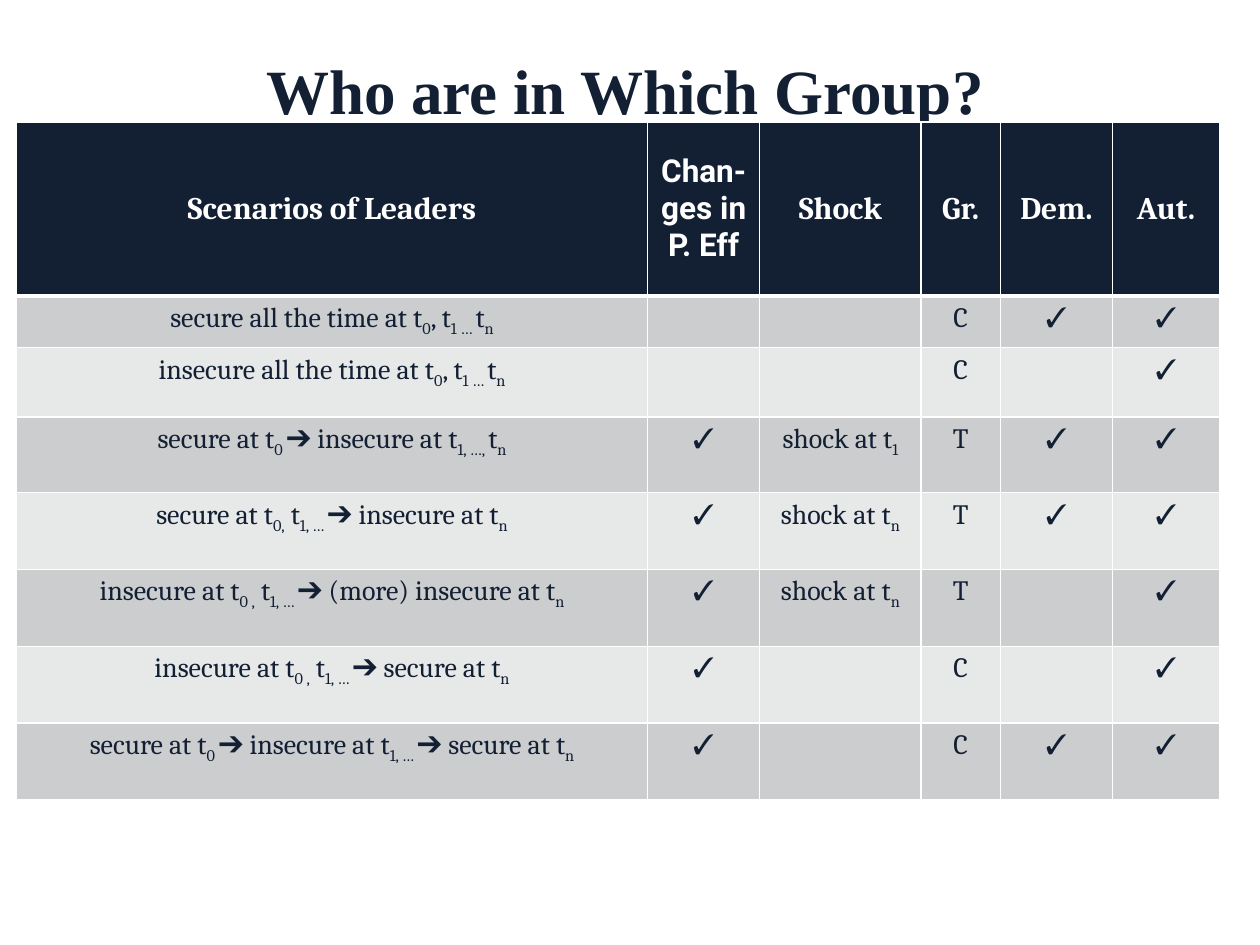
from lxml.etree import SubElement
from pptx import Presentation
from pptx.dml.color import RGBColor as RGB
from pptx.enum.text import MSO_ANCHOR as Anchor, PP_ALIGN as Align
from pptx.oxml.ns import qn
from pptx.util import Inches, Pt

# Content: text between bars is subscript
TITLE = "Who are in Which Group?"
HEADS = ["Scenarios of Leaders", "Chan-ges in P. Eff", "Shock", "Gr.", "Dem.", "Aut."]
YES = "✓"
ROWS = [
    ("secure all the time at t|0|, t|1 … |t|n|", "", "", "C", YES, YES),
    ("insecure all the time at t|0|, t|1 … |t|n|", "", "", "C", "", YES),
    ("secure at t|0 |➔ insecure at t|1, …, |t|n|", YES, "shock at t|1|", "T", YES, YES),
    ("secure at t|0,| t|1, … |➔ insecure at t|n|", YES, "shock at t|n|", "T", YES, YES),
    ("insecure at t|0 ,| t|1, … |➔ (more) insecure at t|n|", YES, "shock at t|n|", "T", "", YES),
    ("insecure at t|0 ,| t|1, … |➔ secure at t|n|", YES, "", "C", "", YES),
    ("secure at t|0 |➔ insecure at t|1, … |➔ secure at t|n|", YES, "", "C", YES, YES),
]
WIDTHS = [5.01, 0.89, 1.28, 0.63, 0.89, 0.85]
HEIGHTS = [1.38, 0.41, 0.55, 0.6] + [0.61] * 4

THEME = {
    "navy": "131F33", "white": "FFFFFF", "bands": ["CCCDCE", "E7E8E8"],
    "title": 36, "head": 18, "body": 16,
    "title font": "Times New Roman", "font": "Cambria", "alt font": "Roboto",
}


def style(run, font, size, color, bold):
    run.font.name, run.font.size, run.font.bold = font, Pt(size), bold
    run.font.color.rgb = RGB.from_string(color)


def border(cell, side, width):
    line = SubElement(cell._tc.get_or_add_tcPr(), qn(f"a:ln{side}"), w=str(Pt(width)))
    fill = SubElement(line, qn("a:solidFill"))
    SubElement(fill, qn("a:srgbClr"), val=THEME["white"])


def fill_cell(cell, text, row, col):
    head = row == 0
    # Borders come before the fill; a thick rule parts head and body
    for side in "LRTB":
        thick = (row, side) in ((0, "B"), (1, "T"))
        border(cell, side, 3 if thick else 1)
    cell.fill.solid()
    back = THEME["navy"] if head else THEME["bands"][(row - 1) % 2]
    cell.fill.fore_color.rgb = RGB.from_string(back)
    cell.vertical_anchor = Anchor.MIDDLE if head else Anchor.TOP

    para = cell.text_frame.paragraphs[0]
    para.alignment = Align.CENTER
    font = THEME["alt font" if head and col == 1 else "font"]
    size = THEME["head" if head else "body"]
    color = THEME["white" if head else "navy"]
    for i, part in enumerate(text.split("|")):
        if part:
            run = para.add_run()
            run.text = part
            style(run, font, size, color, head)
            if i % 2:
                run._r.get_or_add_rPr().set("baseline", "-25000")


def main():
    prs = Presentation()
    prs.slide_width, prs.slide_height = Inches(10), Inches(7.5)
    slide = prs.slides.add_slide(prs.slide_layouts[5])

    # Title
    title = slide.shapes.title
    title.left, title.top = Inches(0.42), Inches(0.3)
    title.width, title.height = Inches(9.08), Inches(1.25)
    frame = title.text_frame
    frame.text = TITLE
    frame.vertical_anchor = Anchor.TOP
    frame.margin_top = Inches(0.11)
    para = frame.paragraphs[0]
    para.alignment = Align.CENTER
    style(para.runs[0], THEME["title font"], THEME["title"], THEME["navy"], True)

    # Table
    data = [HEADS] + ROWS
    table = slide.shapes.add_table(
        len(data), len(HEADS), Inches(0.13), Inches(0.97),
        Inches(sum(WIDTHS)), Inches(sum(HEIGHTS))).table
    for col, width in zip(table.columns, WIDTHS):
        col.width = Inches(width)
    for row, height in zip(table.rows, HEIGHTS):
        row.height = Inches(height)
    for r, texts in enumerate(data):
        for c, text in enumerate(texts):
            fill_cell(table.cell(r, c), text, r, c)

    prs.save("out.pptx")


if __name__ == "__main__":
    main()
